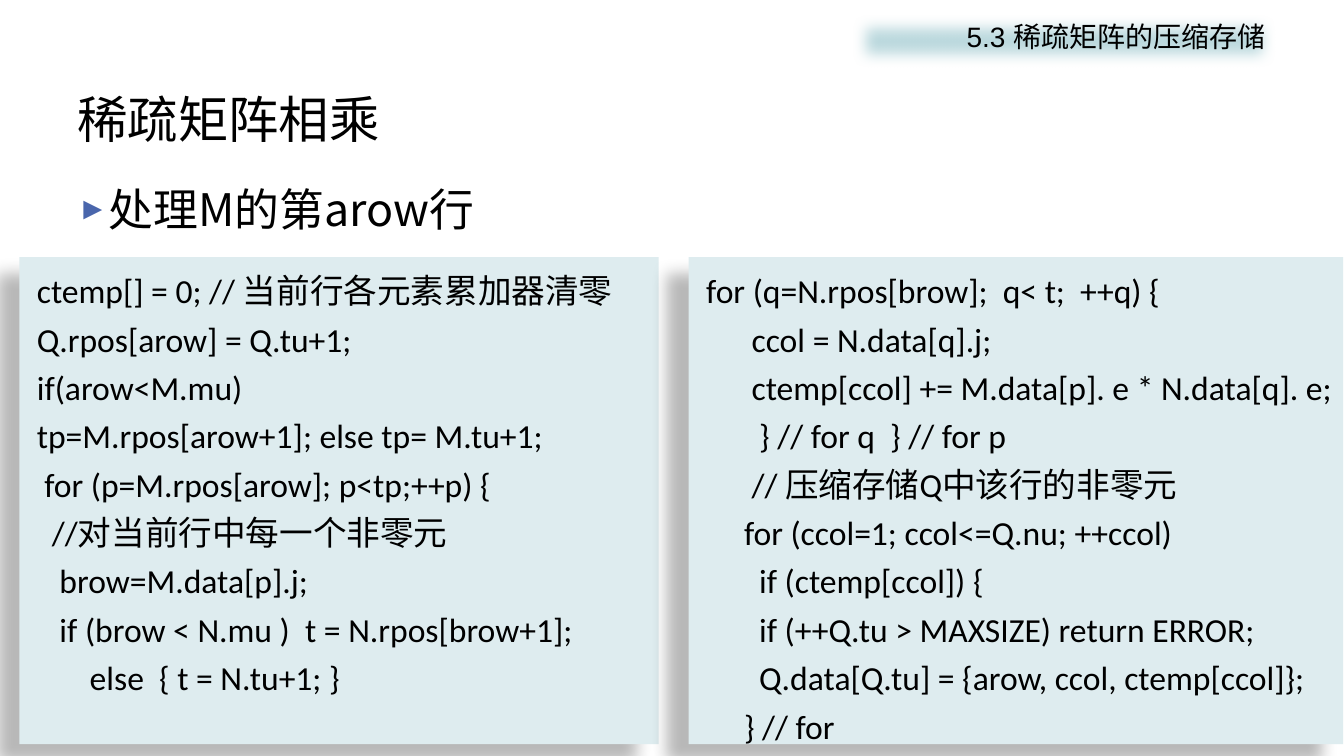
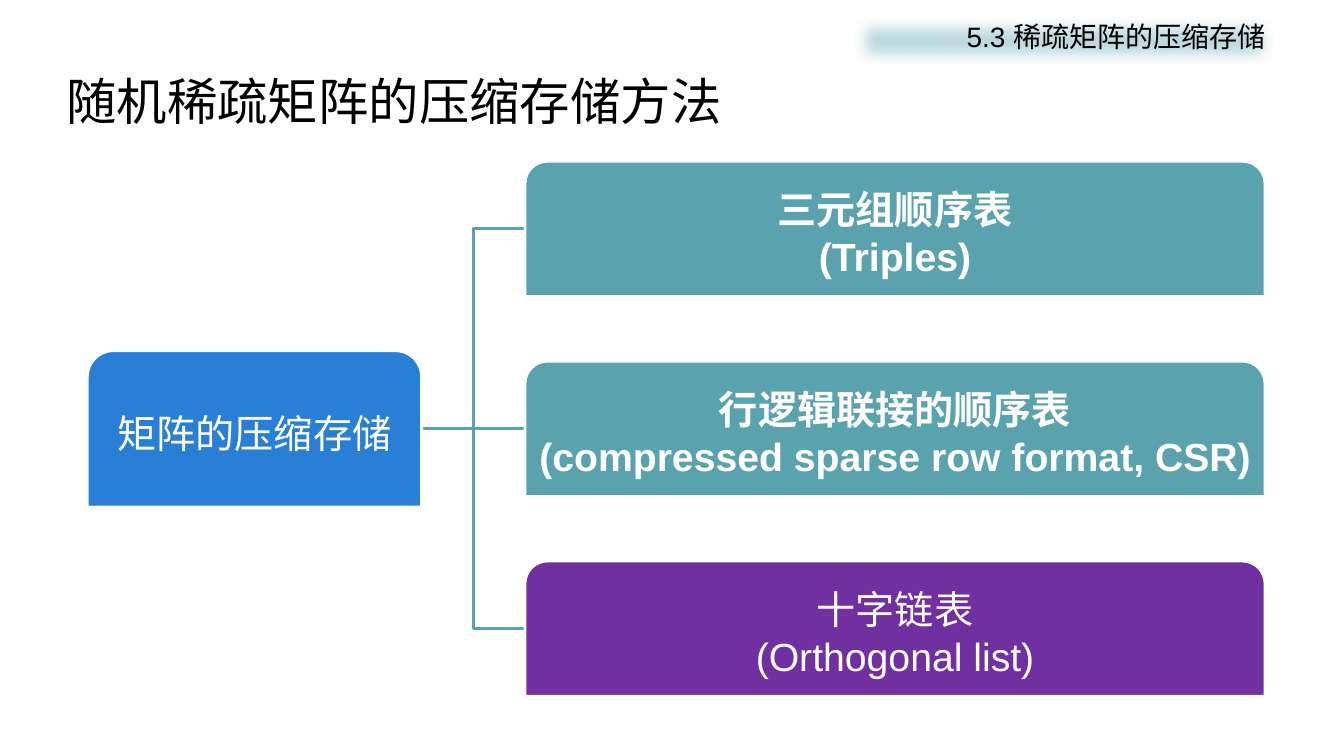
from dataclasses import dataclass

from lxml import etree
from pptx import Presentation
from pptx import util as u
from pptx.dml import color
from pptx.enum import shapes, text
from pptx.oxml import ns

COLUMNS, ROWS = 80, 45
LEFT, RIGHT, CENTER = text.PP_ALIGN.LEFT, text.PP_ALIGN.RIGHT, text.PP_ALIGN.CENTER


@dataclass(frozen=True)
class Theme:
    # Colours
    ink: str = "000000"
    paper: str = "FFFFFF"
    band: str = "BDDADF"
    panel: str = "DEECEF"
    bullet: str = "4A66AC"
    root: str = "297FD5"
    branch: str = "5AA2AE"
    accent: str = "7030A0"
    # Fonts
    east: str = "Noto Sans CJK SC"
    plain: str = "Arial"
    code: str = "Calibri"
    # Sizes in points
    title_size: int = 36
    list_size: int = 32
    node_size: int = 28
    code_size: int = 24
    band_size: int = 20
    line: int = 2
    # One step of code indent, in inches
    code_step: float = 0.075


THEME = Theme()


def rgb(value):
    return color.RGBColor.from_string(value)


def add_xml(parent, tag, **attributes):
    return etree.SubElement(parent, ns.qn(tag), attributes)


def write(paragraph, content, *, font, size, ink=THEME.ink, east=THEME.east,
          bold=False, align=LEFT, spacing=None, margin=0, hanging=0, bullet=None):
    """Put formatted text into a paragraph; margins are in inches."""
    run = paragraph.add_run()
    run.text = content
    run.font.name, run.font.size, run.font.bold = font, u.Pt(size), bold
    run.font.color.rgb = rgb(ink)
    latin = run.font._element.find(ns.qn("a:latin"))
    latin.addnext(etree.Element(ns.qn("a:ea"), typeface=east))

    paragraph.alignment = align
    if spacing:
        paragraph.line_spacing = spacing
    properties = paragraph._p.get_or_add_pPr()
    properties.set("marL", str(u.Inches(margin)))
    properties.set("indent", str(-u.Inches(hanging)))
    if bullet:
        bullet_color = add_xml(properties, "a:buClr")
        add_xml(bullet_color, "a:srgbClr", val=THEME.bullet)
        add_xml(properties, "a:buSzPct", val="70000")
        add_xml(properties, "a:buFont", typeface=THEME.plain)
        add_xml(properties, "a:buChar", char=bullet)
    else:
        add_xml(properties, "a:buNone")


class Deck:
    def __init__(self, theme):
        self.theme = theme
        self.presentation = Presentation()
        self.presentation.slide_width = u.Inches(13.333)
        self.presentation.slide_height = u.Inches(7.5)
        self.slide = None

    # Grid
    def x(self, columns):
        return u.Emu(round(self.presentation.slide_width * columns / COLUMNS))

    def y(self, rows):
        return u.Emu(round(self.presentation.slide_height * rows / ROWS))

    def box(self, left, top, width, height):
        return self.x(left), self.y(top), self.x(width), self.y(height)

    # Shared parts
    def new_slide(self, layout, title, left, top):
        self.slide = self.presentation.slides.add_slide(
            self.presentation.slide_layouts[layout])
        holder = self.placeholder(0, self.box(left, top, 72, 4.5))
        holder.text_frame.vertical_anchor = text.MSO_ANCHOR.MIDDLE
        write(holder.text_frame.paragraphs[0], title,
              font=self.theme.east, size=self.theme.title_size)

    def placeholder(self, index, box):
        holder = self.slide.placeholders[index]
        holder.left, holder.top, holder.width, holder.height = box
        holder.text_frame.auto_size = text.MSO_AUTO_SIZE.NONE
        return holder

    def section_band(self, index, content):
        holder = self.placeholder(index, self.box(50.75, 0.85, 25.2, 3.2))
        self.paint(holder, self.theme.band)
        add_xml(self.effects(holder), "a:softEdge", rad=str(u.Pt(10)))
        write(holder.text_frame.paragraphs[0], content, align=RIGHT,
              font=self.theme.plain, size=self.theme.band_size)

    def paint(self, shape, fill, line=None):
        shape.shadow.inherit = False
        shape.fill.solid()
        shape.fill.fore_color.rgb = rgb(fill)
        if line:
            shape.line.color.rgb = rgb(line)
            shape.line.width = u.Pt(self.theme.line)
        else:
            shape.line.fill.background()

    def effects(self, shape):
        return shape.element.spPr.find(ns.qn("a:effectLst"))

    # Slide elements
    def bullet_line(self, index, content, box):
        holder = self.placeholder(index, self.box(*box))
        write(holder.text_frame.paragraphs[0], content, font=self.theme.east,
              size=self.theme.list_size, margin=0.28, hanging=0.28, bullet="►")

    def code_panel(self, box, lines):
        panel = self.slide.shapes.add_shape(
            shapes.MSO_SHAPE.RECTANGLE, *self.box(*box))
        self.paint(panel, self.theme.panel)
        shadow = add_xml(self.effects(panel), "a:outerShdw",
                         blurRad=str(u.Pt(11.8)), dist=str(u.Pt(19.7)),
                         dir=str(141 * 60000), algn="tr", rotWithShape="0")
        shade = add_xml(shadow, "a:srgbClr", val=self.theme.ink)
        add_xml(shade, "a:alpha", val="28000")

        frame = panel.text_frame
        frame.word_wrap = True
        frame.vertical_anchor = text.MSO_ANCHOR.TOP
        frame.margin_right = u.Inches(0.02)
        for number, (indent, line) in enumerate(lines):
            paragraph = frame.add_paragraph() if number else frame.paragraphs[0]
            write(paragraph, line, font=self.theme.code, east=self.theme.code,
                  size=self.theme.code_size, spacing=1.2,
                  margin=indent * self.theme.code_step)

    def node(self, box, lines, fill, bold=False):
        node = self.slide.shapes.add_shape(
            shapes.MSO_SHAPE.ROUND_2_SAME_RECTANGLE, *self.box(*box))
        self.paint(node, fill, self.theme.paper)
        frame = node.text_frame
        frame.word_wrap = True
        frame.vertical_anchor = text.MSO_ANCHOR.MIDDLE
        frame.margin_left = frame.margin_right = u.Inches(0.02)
        frame.margin_top = frame.margin_bottom = u.Inches(0.02)
        for number, line in enumerate(lines):
            paragraph = frame.add_paragraph() if number else frame.paragraphs[0]
            write(paragraph, line, font=self.theme.plain, bold=bold, align=CENTER,
                  size=self.theme.node_size, ink=self.theme.paper)

    def link(self, start, end):
        kind = shapes.MSO_CONNECTOR
        link = self.slide.shapes.add_connector(
            kind.STRAIGHT if start[1] == end[1] else kind.ELBOW,
            self.x(start[0]), self.y(start[1]), self.x(end[0]), self.y(end[1]))
        link.line.color.rgb = rgb(self.theme.branch)
        link.line.width = u.Pt(self.theme.line)
        add_xml(link.element.spPr, "a:effectLst")


SECTION = "5.3 稀疏矩阵的压缩存储"

# Code lines with their indent steps
ROW_START = [
    (1, "ctemp[] = 0; // 当前行各元素累加器清零"),
    (1, "Q.rpos[arow] = Q.tu+1;"),
    (1, "if(arow<M.mu)"),
    (1, "tp=M.rpos[arow+1]; else tp= M.tu+1;"),
    (2, "for (p=M.rpos[arow]; p<tp;++p) {"),
    (3, "//对当前行中每一个非零元"),
    (4, "brow=M.data[p].j;"),
    (4, "if (brow < N.mu )  t = N.rpos[brow+1];"),
    (8, "else  { t = N.tu+1; }"),
]
ROW_PRODUCT = [
    (1, "for (q=N.rpos[brow];  q< t;  ++q) {"),
    (7, "ccol = N.data[q].j;"),
    (7, "ctemp[ccol] += M.data[p]. e * N.data[q]. e;"),
    (8, "} // for q  } // for p"),
    (7, "// 压缩存储Q中该行的非零元"),
    (6, "for (ccol=1; ccol<=Q.nu; ++ccol)"),
    (8, "if (ctemp[ccol]) {"),
    (8, "if (++Q.tu > MAXSIZE) return ERROR;"),
    (8, "Q.data[Q.tu] = {arow, ccol, ctemp[ccol]};"),
    (6, "} // for"),
]


def multiplication_slide(deck):
    deck.new_slide(3, "稀疏矩阵相乘", 4, 4.8)
    deck.bullet_line(1, "处理M的第arow行", (4, 10.5, 72, 3.85))
    deck.section_band(2, SECTION)
    deck.code_panel((1.15, 15.3, 38.05, 29), ROW_START)
    deck.code_panel((41, 15.3, 38.95, 29), ROW_PRODUCT)


def storage_slide(deck):
    theme = deck.theme
    deck.new_slide(1, "随机稀疏矩阵的压缩存储方法", 3.35, 3.7)
    deck.section_band(1, SECTION)

    branches = [
        (["三元组顺序表", "(Triples)"], theme.branch, True),
        (["行逻辑联接的顺序表", "(compressed sparse row format, CSR)"],
         theme.branch, True),
        (["十字链表", "(Orthogonal list)"], theme.accent, False),
    ]
    root_left, root_width, root_height = 5.2, 19.9, 9.3
    left, top, width, height, pitch = 31.25, 9.6, 44.05, 8.05, 11.9
    tops = [top + pitch * number for number in range(len(branches))]
    middle = tops[1] + height / 2

    # Links lie behind the nodes
    for branch_top in tops:
        deck.link((root_left + root_width, middle), (left, branch_top + height / 2))
    deck.node((root_left, middle - root_height / 2, root_width, root_height),
              ["矩阵的压缩存储"], theme.root)
    for branch_top, (lines, fill, bold) in zip(tops, branches):
        deck.node((left, branch_top, width, height), lines, fill, bold)


def main():
    deck = Deck(THEME)
    multiplication_slide(deck)
    storage_slide(deck)
    deck.presentation.save("out.pptx")


if __name__ == "__main__":
    main()
